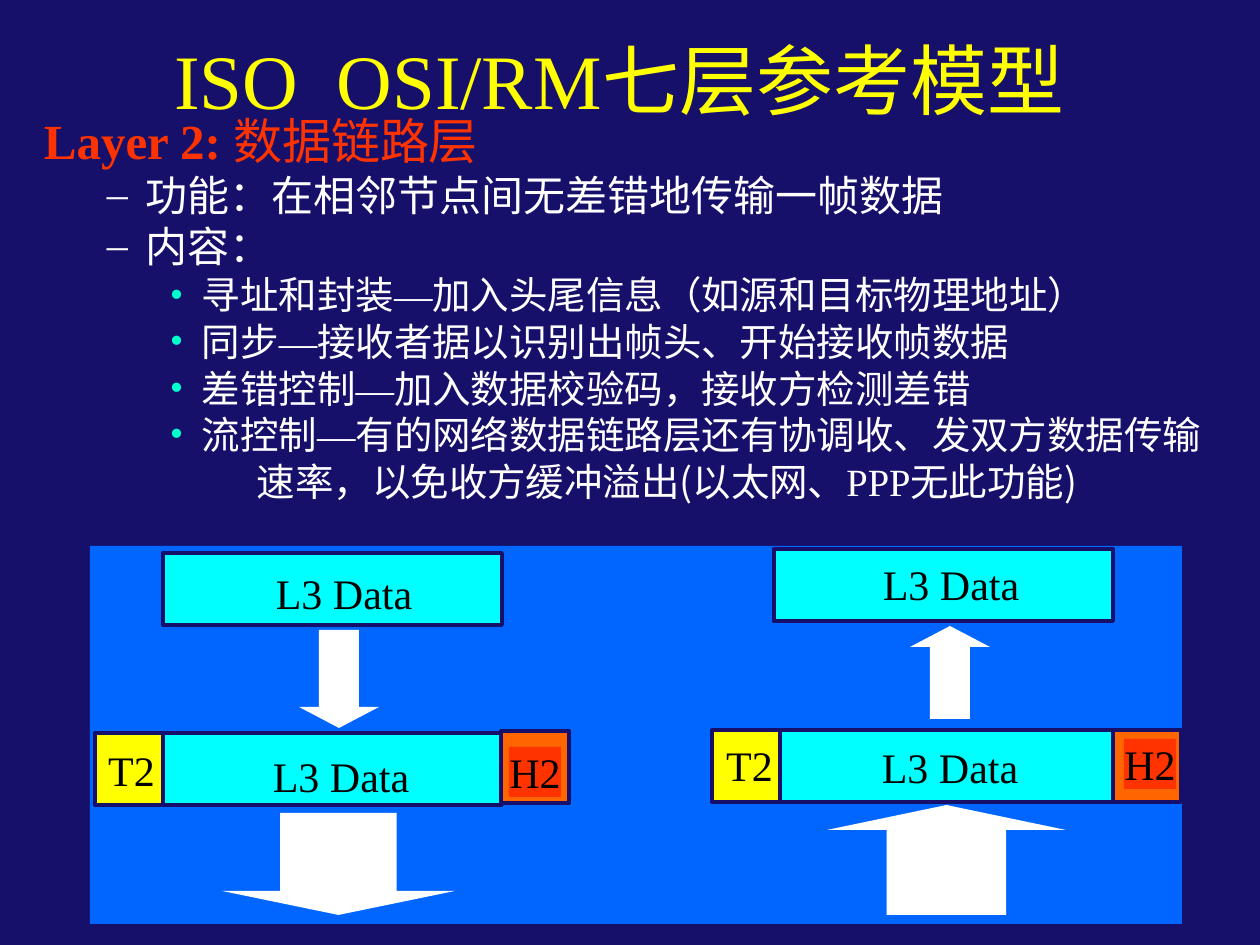
from dataclasses import dataclass
from lxml import etree
from pptx import Presentation
from pptx.dml.color import RGBColor
from pptx.enum.shapes import MSO_SHAPE
from pptx.enum.text import MSO_ANCHOR, MSO_AUTO_SIZE, PP_ALIGN
from pptx.oxml.ns import qn
from pptx.util import Pt

RECT, DOWN, UP = MSO_SHAPE.RECTANGLE, MSO_SHAPE.DOWN_ARROW, MSO_SHAPE.UP_ARROW
TOP, MIDDLE = MSO_ANCHOR.TOP, MSO_ANCHOR.MIDDLE
FIXED, GROW = MSO_AUTO_SIZE.NONE, MSO_AUTO_SIZE.SHAPE_TO_FIT_TEXT
LEFT, CENTER, JUSTIFY = PP_ALIGN.LEFT, PP_ALIGN.CENTER, PP_ALIGN.JUSTIFY
EMU_PER_PX = 914400 / 126


@dataclass(frozen=True)
class Theme:
    navy: str = "16106B"
    title: str = "FFFF01"
    heading: str = "FF3300"
    white: str = "FFFFFF"
    bullet: str = "00FFCC"
    panel: str = "0066FF"
    data: str = "00FFFF"
    tail: str = "FFFF00"
    head: str = "FF6600"
    head_label: str = "FF3300"
    ink: str = "000000"
    latin: str = "Times New Roman"
    cjk: str = "Noto Sans CJK SC"
    title_size: int = 44
    heading_size: int = 28
    item_size: int = 24
    detail_size: int = 22
    label_size: int = 24
    border: float = 2.25


THEME = Theme()

TITLE = "ISO  OSI/RM七层参考模型"
TITLE_BOX = (84, 29, 1071, 100)
BODY_BOX = (31, 116, 1197, 451)
INSETS = (13, 6, 13, 6)

LEVELS = {
    "heading": dict(size=THEME.heading_size, color=THEME.heading, margin=48, indent=-48,
                    before=0, bullet=None, align=LEFT),
    "item": dict(size=THEME.item_size, color=THEME.white, margin=102, indent=-39,
                 before=6, bullet=("–", THEME.white), align=LEFT),
    "detail": dict(size=THEME.detail_size, color=THEME.white, margin=158, indent=-32,
                   before=5.5, bullet=("•", THEME.bullet), align=JUSTIFY),
    "continued": dict(size=THEME.detail_size, color=THEME.white, margin=213, indent=0,
                      before=5.5, bullet=None, align=JUSTIFY),
}

BODY = [
    ("heading", ["Layer 2: ", "数据链路层"]),
    ("item", ["功能：在相邻节点间无差错地传输一帧数据"]),
    ("item", ["内容："]),
    ("detail", ["寻址和封装", "—", "加入头尾信息（如源和目标物理地址）"]),
    ("detail", ["同步", "—", "接收者据以识别出帧头、开始接收帧数据"]),
    ("detail", ["差错控制", "—", "加入数据校验码，接收方检测差错"]),
    ("detail", ["流控制", "—", "有的网络数据链路层还有协调收、发双方数据传输"]),
    ("continued", ["速率，以免收方缓冲溢出(以太网、", "PPP", "无此功能)"]),
]
LATIN_RUNS = {"Layer 2: ", "—", "PPP"}

PANEL = (90, 546, 1092, 378)
CELL_HEIGHT, LABEL_HEIGHT = 72, 50
PARTS = {
    "data": dict(text="L3 Data", width=339, label_width=144, fill=THEME.data, label_fill=None),
    "tail": dict(text="T2", width=68, label_width=47, fill=THEME.tail, label_fill=THEME.tail),
    "head": dict(text="H2", width=68, label_width=52, fill=THEME.head,
                 label_fill=THEME.head_label),
}
CELLS = [
    ("data", (163, 553), (272, 568)),
    ("data", (163, 733), (269, 751)),
    ("tail", (95, 733), (108, 745)),
    ("head", (501, 731), (509, 747)),
    ("data", (774, 549), (879, 559)),
    ("data", (777, 730), (878, 742)),
    ("tail", (712, 730), (726, 740)),
    ("head", (1113, 730), (1124, 739)),
]
ARROWS = [
    (DOWN, (222, 813, 233, 102), 24),
    (DOWN, (299, 630, 80, 98), 21),
    (UP, (827, 805, 239, 110), 25),
    (UP, (910, 626, 80, 93), 21),
]


def px(length):
    return round(length * EMU_PER_PX)


def box_emu(box):
    return [px(length) for length in box]


def paint(target, color):
    target.solid()
    target.fore_color.rgb = RGBColor.from_string(color)


def add_part(slide, preset, box, fill, border=None):
    part = slide.shapes.add_shape(preset, *box_emu(box))
    part.shadow.inherit = False
    paint(part.fill, fill)
    if border:
        paint(part.line.fill, border)
        part.line.width = Pt(THEME.border)
    else:
        part.line.fill.background()
    return part


def add_frame(slide, box, insets=(0, 0, 0, 0), anchor=TOP, wrap=True, fit=FIXED):
    holder = slide.shapes.add_textbox(*box_emu(box))
    left, top, right, bottom = box_emu(insets)
    formats = dict(margin_left=left, margin_top=top, margin_right=right, margin_bottom=bottom,
                   vertical_anchor=anchor, word_wrap=wrap, auto_size=fit)
    for name, value in formats.items():
        setattr(holder.text_frame, name, value)
    return holder


def add_run(paragraph, text, size, color, latin, east_asian, bold=False):
    run = paragraph.add_run()
    run.text = text
    for name, value in dict(size=Pt(size), bold=bold, name=latin).items():
        setattr(run.font, name, value)
    run.font.color.rgb = RGBColor.from_string(color)
    properties = run._r.get_or_add_rPr()
    properties.find(qn("a:latin")).addnext(
        etree.Element(qn("a:ea"), typeface=east_asian))


def style_paragraph(paragraph, level):
    properties = paragraph._p.get_or_add_pPr()
    properties.set("marL", str(px(level["margin"])))
    properties.set("indent", str(px(level["indent"])))
    if level["bullet"]:
        mark, color = level["bullet"]
        tint = etree.SubElement(properties, qn("a:buClr"))
        etree.SubElement(tint, qn("a:srgbClr"), val=color)
        etree.SubElement(properties, qn("a:buFont"), typeface=THEME.latin)
        etree.SubElement(properties, qn("a:buChar"), char=mark)
    else:
        etree.SubElement(properties, qn("a:buNone"))
    formats = dict(alignment=level["align"], line_spacing=0.8,
                   space_before=Pt(level["before"]))
    for name, value in formats.items():
        setattr(paragraph, name, value)


def add_title(slide):
    frame = add_frame(slide, TITLE_BOX, INSETS, MIDDLE).text_frame
    heading = frame.paragraphs[0]
    heading.alignment = CENTER
    add_run(heading, TITLE, THEME.title_size, THEME.title, THEME.latin, THEME.cjk)


def add_body(slide):
    frame = add_frame(slide, BODY_BOX, INSETS).text_frame
    for index, (level_name, texts) in enumerate(BODY):
        paragraph = frame.add_paragraph() if index else frame.paragraphs[0]
        level = LEVELS[level_name]
        style_paragraph(paragraph, level)
        for text in texts:
            font = THEME.latin if text in LATIN_RUNS else THEME.cjk
            bold = level_name == "heading" and text in LATIN_RUNS
            add_run(paragraph, text, level["size"], level["color"], font, font, bold)


def add_cell(slide, part_name, corner, label_corner):
    part = PARTS[part_name]
    add_part(slide, RECT, (*corner, part["width"], CELL_HEIGHT), part["fill"], THEME.navy)
    label_box = (*label_corner, part["label_width"], LABEL_HEIGHT)
    label = add_frame(slide, label_box, wrap=False, fit=GROW)
    if part["label_fill"]:
        paint(label.fill, part["label_fill"])
    paragraph = label.text_frame.paragraphs[0]
    paragraph.alignment = CENTER
    add_run(paragraph, part["text"], THEME.label_size, THEME.ink, THEME.latin, THEME.cjk)


def main():
    deck = Presentation()
    deck.slide_width, deck.slide_height = px(1260), px(945)
    slide = deck.slides.add_slide(deck.slide_layouts[6])
    paint(slide.background.fill, THEME.navy)
    add_title(slide)
    add_body(slide)
    add_part(slide, RECT, PANEL, THEME.panel)
    for cell in CELLS:
        add_cell(slide, *cell)
    for preset, box, head_length in ARROWS:
        arrow = add_part(slide, preset, box, THEME.white)
        arrow.adjustments[0] = 0.5
        arrow.adjustments[1] = head_length / min(box[2:])
    deck.save("out.pptx")


if __name__ == "__main__":
    main()
